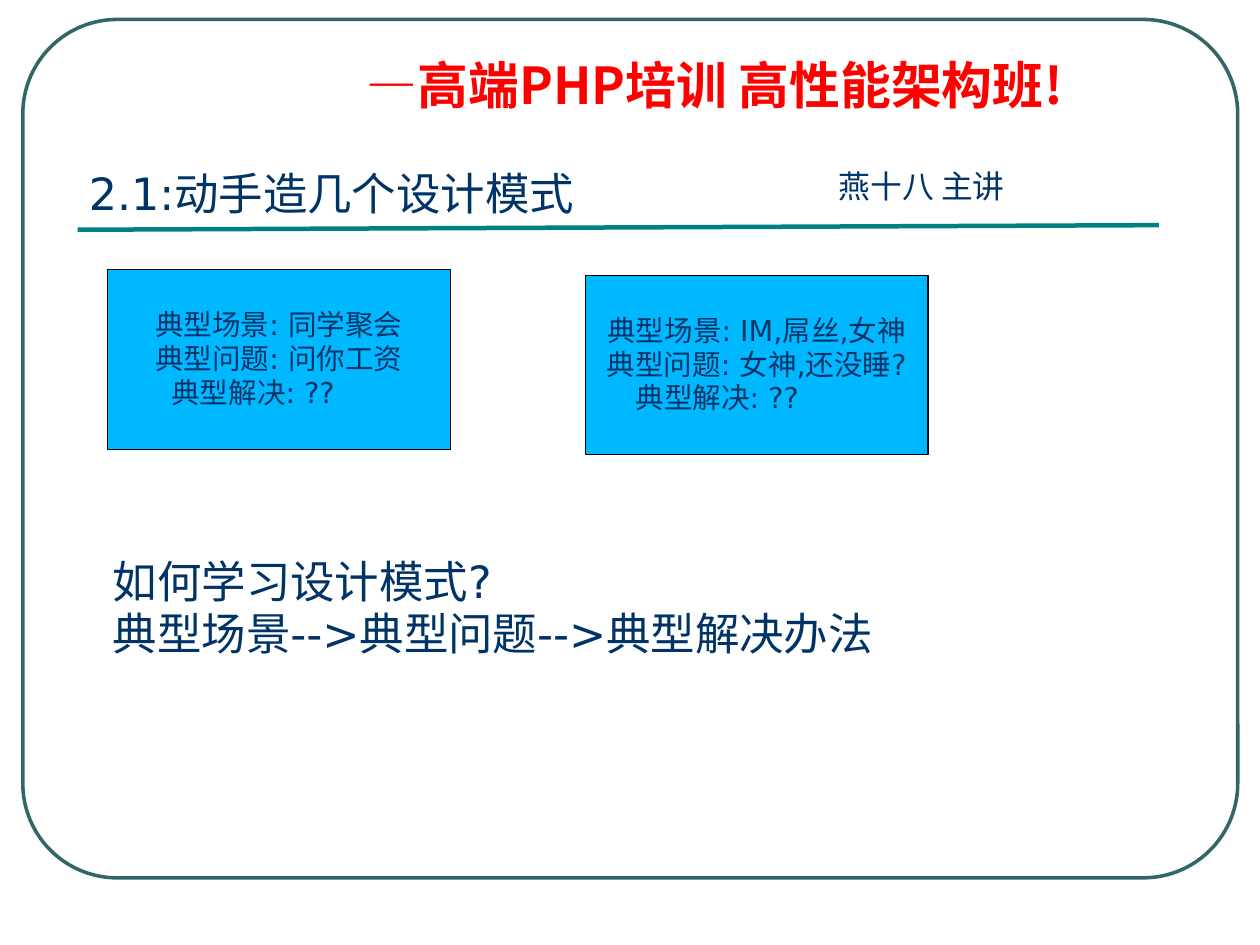
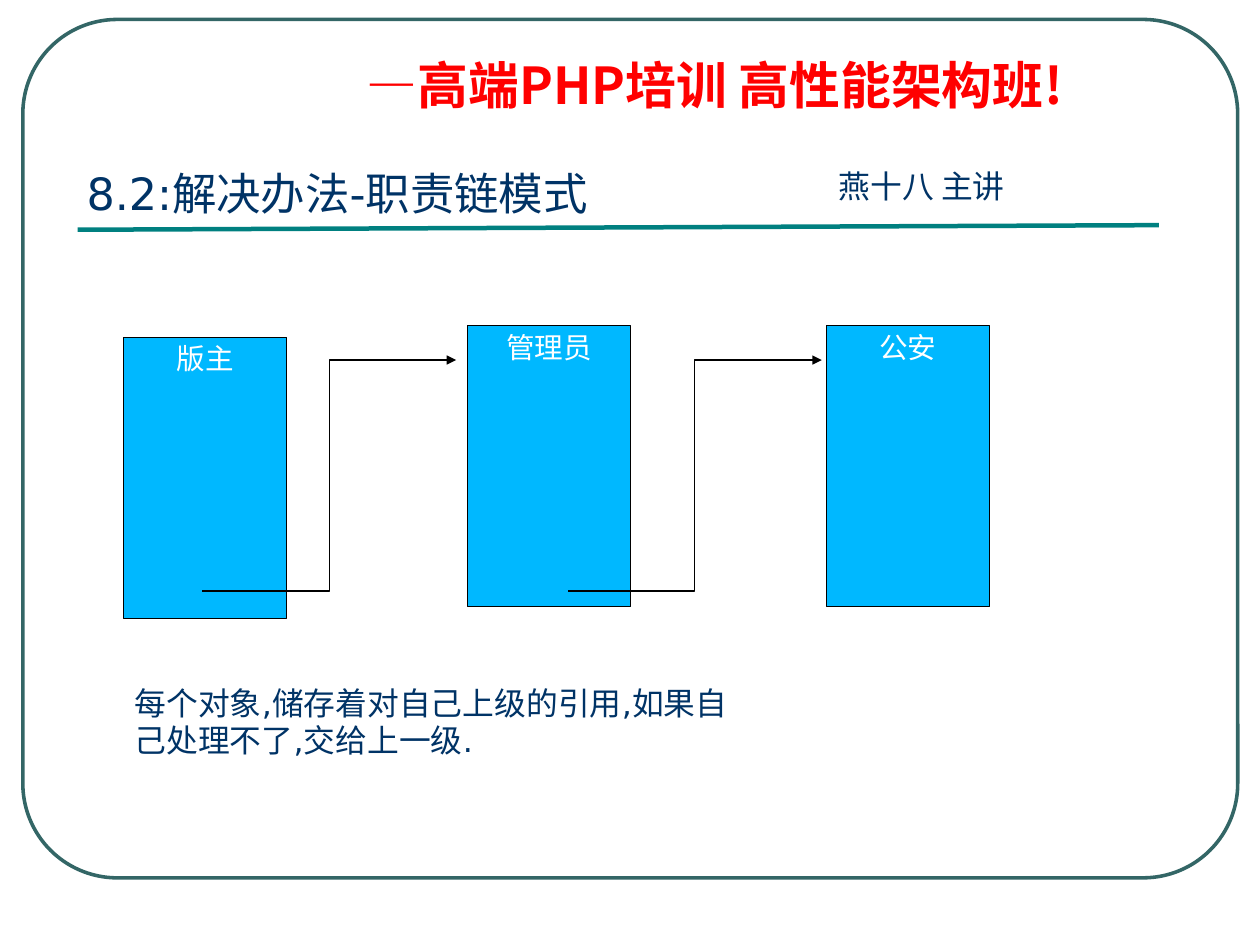
from dataclasses import dataclass

from lxml import etree
from pptx import Presentation
from pptx.dml.color import RGBColor
from pptx.enum.shapes import MSO_CONNECTOR, MSO_SHAPE
from pptx.enum.text import MSO_ANCHOR, PP_ALIGN
from pptx.oxml.ns import qn
from pptx.shapes.autoshape import Shape
from pptx.shapes.connector import Connector
from pptx.slide import Slide
from pptx.util import Emu, Pt

EMU_PER_PX = 9144  # 100 px to the inch
SLIDE_WIDTH, SLIDE_HEIGHT = Emu(10080625), Emu(7559675)

RED = RGBColor(0xFF, 0x00, 0x00)
NAVY = RGBColor(0x00, 0x33, 0x66)
FRAME_GREEN = RGBColor(0x33, 0x66, 0x66)
TEAL = RGBColor(0x00, 0x80, 0x80)
SKY = RGBColor(0x00, 0xB8, 0xFF)
BLACK = RGBColor(0x00, 0x00, 0x00)
WHITE = RGBColor(0xFF, 0xFF, 0xFF)

CJK_FONT = "Noto Sans CJK SC"
BODY_FONT = "DejaVu Sans"

LEFT, CENTER = PP_ALIGN.LEFT, PP_ALIGN.CENTER
TOP, MIDDLE = MSO_ANCHOR.TOP, MSO_ANCHOR.MIDDLE
RECTANGLE, ROUNDED = MSO_SHAPE.RECTANGLE, MSO_SHAPE.ROUNDED_RECTANGLE
STRAIGHT, ELBOW = MSO_CONNECTOR.STRAIGHT, MSO_CONNECTOR.ELBOW


@dataclass(frozen=True)
class Box:
    left: int
    top: int
    width: int
    height: int


@dataclass(frozen=True)
class TextStyle:
    size: int
    color: RGBColor = NAVY
    font: str = BODY_FONT
    bold: bool = False
    align: PP_ALIGN = LEFT
    spacing: float = 0.98


@dataclass(frozen=True)
class Scenario:
    left: int
    top: int
    lines: tuple[str, ...]
    answer: str
    answer_indent: int


@dataclass(frozen=True)
class Handler:
    left: int
    top: int
    name: str


BANNER = TextStyle(32, RED, CJK_FONT, bold=True, spacing=0.9)
SPEAKER = TextStyle(20, font=CJK_FONT)
HEADING = TextStyle(28)
NOTE = TextStyle(20)
CARD = TextStyle(18, align=CENTER)
HANDLER_NAME = TextStyle(18, WHITE, align=CENTER)

SCENARIOS = (
    Scenario(94, 236, ("典型场景: 同学聚会", "典型问题: 问你工资"), "典型解决: ??", 56),
    Scenario(512, 241, ("典型场景: IM,屌丝,女神", "典型问题: 女神,还没睡?"), "典型解决: ??", 44),
)
HANDLERS = (Handler(108, 295, "版主"), Handler(409, 285, "管理员"), Handler(723, 285, "公安"))
ARROW_LEFT, ARROW_STEP, ARROW_WIDTH = 177, 320, 222
ARROW_BOTTOM, ARROW_TOP = 517, 315


def px(length: int) -> Emu:
    return Emu(length * EMU_PER_PX)


def place(box: Box) -> tuple[Emu, Emu, Emu, Emu]:
    return px(box.left), px(box.top), px(box.width), px(box.height)


def write(shape: Shape, lines: tuple[str, ...], style: TextStyle,
          anchor: MSO_ANCHOR = TOP) -> None:
    frame = shape.text_frame
    frame.text = "\n".join(lines)
    frame.word_wrap = True
    frame.vertical_anchor = anchor
    for para in frame.paragraphs:
        para.alignment = style.align
        para.line_spacing = style.spacing
        for span in para.runs:
            span.font.size = Pt(style.size)
            span.font.bold = style.bold
            span.font.color.rgb = style.color
            span.font.name = style.font
            properties = span.font._element
            etree.SubElement(properties, qn("a:ea")).set("typeface", CJK_FONT)


def add_text(page: Slide, box: Box, lines: tuple[str, ...], style: TextStyle) -> None:
    write(page.shapes.add_textbox(*place(box)), lines, style)


def add_panel(page: Slide, box: Box) -> Shape:
    panel = page.shapes.add_shape(RECTANGLE, *place(box))
    panel.shadow.inherit = False
    panel.fill.solid()
    panel.fill.fore_color.rgb = SKY
    panel.line.color.rgb = BLACK
    panel.line.width = Pt(0.75)
    return panel


def add_line(page: Slide, kind: MSO_CONNECTOR, start: tuple[int, int], end: tuple[int, int],
             color: RGBColor, width: float) -> Connector:
    line = page.shapes.add_connector(kind, *map(px, start + end))
    line.line.color.rgb = color
    line.line.width = Pt(width)
    etree.SubElement(line._element.spPr, qn("a:effectLst"))
    return line


def add_page(deck: Presentation, heading: str, heading_box: Box) -> Slide:
    """Add a slide with the shared banner, frame, rule, speaker and heading."""
    page = deck.slides.add_slide(deck.slide_layouts[6])
    add_text(page, Box(311, 48, 689, 58), ("—高端PHP培训 高性能架构班!",), BANNER)
    frame = page.shapes.add_shape(ROUNDED, *place(Box(20, 17, 1063, 751)))
    frame.adjustments[0] = 0.11
    frame.shadow.inherit = False
    frame.fill.background()
    frame.line.color.rgb = FRAME_GREEN
    frame.line.width = Pt(2.25)
    add_line(page, STRAIGHT, (68, 201), (1014, 197), TEAL, 2.83)
    add_text(page, Box(724, 143, 186, 43), ("燕十八 主讲",), SPEAKER)
    add_text(page, heading_box, (heading,), HEADING)
    return page


def add_scenario(page: Slide, scenario: Scenario) -> None:
    panel = add_panel(page, Box(scenario.left, scenario.top, 300, 157))
    write(panel, scenario.lines + (scenario.answer,), CARD, MIDDLE)
    frame = panel.text_frame
    frame.margin_left = frame.margin_right = 0
    answer = frame.paragraphs[-1]
    answer.alignment = LEFT
    answer._p.get_or_add_pPr().set("marL", str(px(scenario.answer_indent)))


def add_handler(page: Slide, handler: Handler) -> None:
    panel = add_panel(page, Box(handler.left, handler.top, 143, 246))
    write(panel, (handler.name,), HANDLER_NAME)


def add_escalation(page: Slide, left: int) -> None:
    """Draw an elbow arrow up to the next handler."""
    arrow = add_line(page, ELBOW, (left, ARROW_BOTTOM), (left + ARROW_WIDTH, ARROW_TOP),
                     BLACK, 0.75)
    outline = arrow.line._get_or_add_ln()
    etree.SubElement(outline, qn("a:tailEnd")).set("type", "triangle")


def build_patterns_page(deck: Presentation) -> None:
    page = add_page(deck, "2.1:动手造几个设计模式", Box(68, 143, 460, 56))
    for scenario in SCENARIOS:
        add_scenario(page, scenario)
    add_text(page, Box(89, 482, 746, 102),
             ("如何学习设计模式?", "典型场景-->典型问题-->典型解决办法"), HEADING)


def build_chain_page(deck: Presentation) -> None:
    page = add_page(deck, "8.2:解决办法-职责链模式", Box(66, 143, 492, 56))
    for handler in HANDLERS:
        add_handler(page, handler)
    for step in range(len(HANDLERS) - 1):
        add_escalation(page, ARROW_LEFT + step * ARROW_STEP)
    add_text(page, Box(108, 595, 554, 76),
             ("每个对象,储存着对自己上级的引用,如果自己处理不了,交给上一级.",), NOTE)


def main() -> None:
    deck = Presentation()
    deck.slide_width, deck.slide_height = SLIDE_WIDTH, SLIDE_HEIGHT
    build_patterns_page(deck)
    build_chain_page(deck)
    deck.save("out.pptx")


if __name__ == "__main__":
    main()
